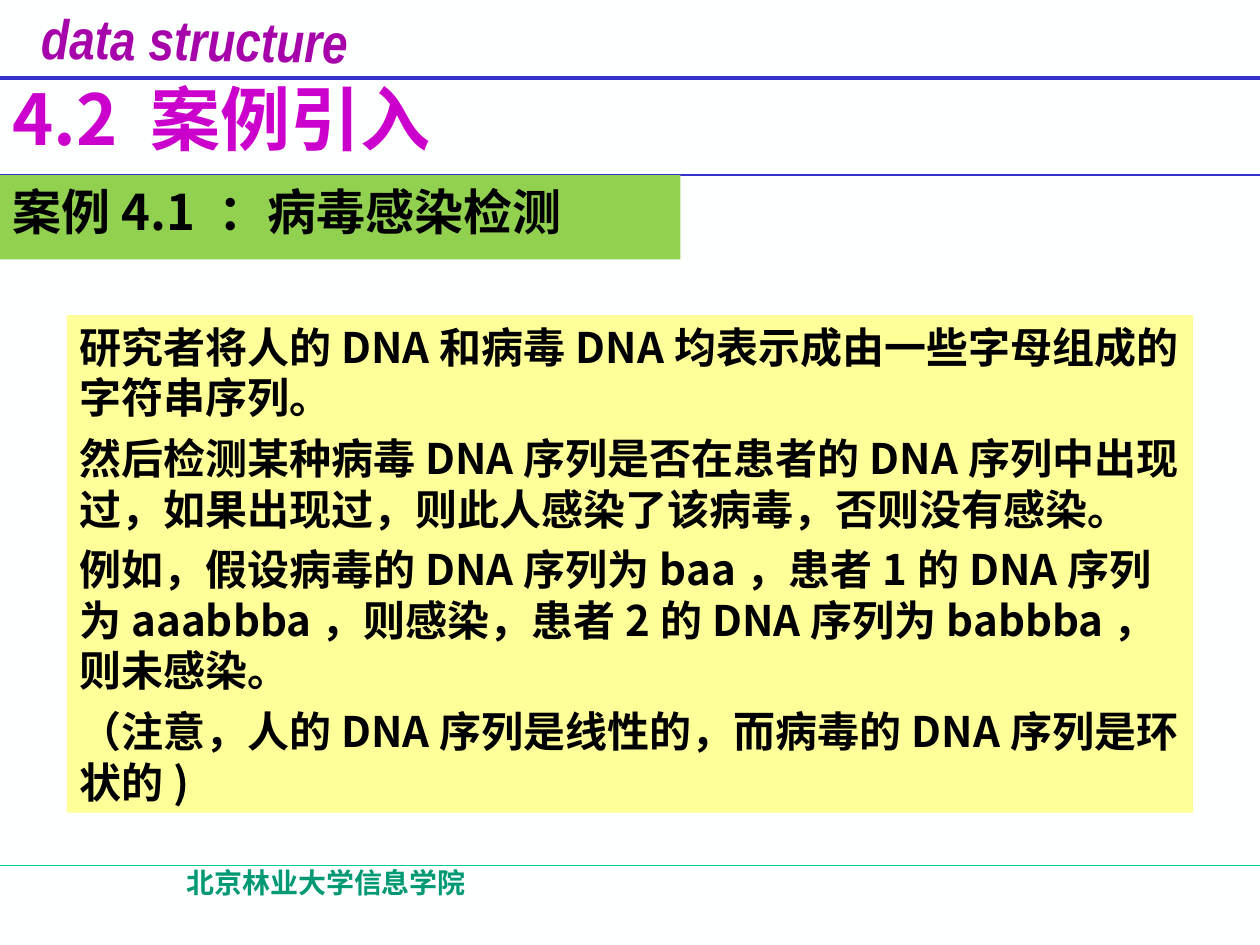
from lxml import etree
from pptx import Presentation
from pptx.dml.color import RGBColor
from pptx.enum.shapes import MSO_CONNECTOR, MSO_SHAPE
from pptx.enum.text import MSO_ANCHOR, MSO_AUTO_SIZE, PP_ALIGN
from pptx.oxml.ns import qn
from pptx.util import Inches, Pt

LEFT, CENTER = PP_ALIGN.LEFT, PP_ALIGN.CENTER
TOP, MIDDLE = MSO_ANCHOR.TOP, MSO_ANCHOR.MIDDLE
NO_FIT = MSO_AUTO_SIZE.NONE
RECTANGLE = MSO_SHAPE.RECTANGLE
STRAIGHT = MSO_CONNECTOR.STRAIGHT

CASE_TEXT = [
    "研究者将人的DNA和病毒DNA均表示成由一些字母组成的字符串序列。",
    "然后检测某种病毒DNA序列是否在患者的DNA序列中出现过，如果出现过，则此人感染了该病毒，否则没有感染。",
    "例如，假设病毒的DNA序列为baa，患者1的DNA序列为aaabbba，则感染，患者2的DNA序列为babbba，则未感染。",
    "（注意，人的DNA序列是线性的，而病毒的DNA序列是环状的)",
]


def color(value):
    return RGBColor.from_string(value)


def write_text(shape, *lines, size, fill="000000", font="Noto Sans CJK SC",
               italic=False, align=LEFT, anchor=TOP, wrap=True, before=0):
    frame = shape.text_frame
    frame.word_wrap = wrap
    frame.auto_size = NO_FIT
    frame.vertical_anchor = anchor
    for index, line in enumerate(lines):
        paragraph = frame.paragraphs[0] if index == 0 else frame.add_paragraph()
        paragraph.alignment = align
        paragraph.space_before = Pt(before if index else 0)
        properties = paragraph._p.get_or_add_pPr()
        properties.set("marL", "0")
        properties.set("indent", "0")
        etree.SubElement(properties, qn("a:buNone"))
        run = paragraph.add_run()
        run.text = line
        run.font.size = Pt(size)
        run.font.bold = True
        run.font.italic = italic
        run.font.name = font
        run.font.color.rgb = color(fill)
        east_asian = etree.SubElement(run._r.get_or_add_rPr(), qn("a:ea"))
        east_asian.set("typeface", font)


class SlideBuilder:
    def __init__(self, slide, background):
        self.slide = slide
        slide.background.fill.solid()
        slide.background.fill.fore_color.rgb = color(background)

    def rule(self, top, line_color, width):
        connector = self.slide.shapes.add_connector(
            STRAIGHT, 0, Inches(top), Inches(10), Inches(top))
        connector.line.color.rgb = color(line_color)
        connector.line.width = Pt(width)
        etree.SubElement(connector._element.spPr, qn("a:effectLst"))

    def placeholder(self, index, box, *lines, background=None, **text_format):
        shape = self.slide.placeholders[index]
        shape.left, shape.top, shape.width, shape.height = map(Inches, box)
        if background:
            shape.fill.solid()
            shape.fill.fore_color.rgb = color(background)
        write_text(shape, *lines, **text_format)

    def text_box(self, box, text, rotation=0, **text_format):
        shape = self.slide.shapes.add_textbox(*map(Inches, box))
        shape.rotation = rotation
        write_text(shape, text, **text_format)

    def banner(self, box, text, background, **text_format):
        shape = self.slide.shapes.add_shape(RECTANGLE, *map(Inches, box))
        shape.shadow.inherit = False
        shape.fill.solid()
        shape.fill.fore_color.rgb = color(background)
        shape.line.fill.background()
        write_text(shape, text, **text_format)


def main():
    presentation = Presentation()
    presentation.slide_width = Inches(10)
    presentation.slide_height = Inches(7.5)
    slide = presentation.slides.add_slide(presentation.slide_layouts[1])
    builder = SlideBuilder(slide, "FEFFFF")

    builder.rule(6.87, "00CC99", 0.75)
    builder.rule(0.62, "3333CC", 2.25)
    builder.rule(1.39, "3333CC", 1)
    builder.text_box((0.23, -0.01, 2.29, 0.54), "data structure", rotation=0.8,
                     size=32, fill="A603AB", font="Arial Narrow",
                     italic=True, wrap=False)
    builder.text_box((0.52, 6.82, 4.14, 0.5), "北京林业大学信息学院",
                     size=16, fill="009973", align=CENTER)
    builder.placeholder(0, (0, 0.56, 7.41, 0.75), "4.2 案例引入",
                        size=40, fill="CC00CC", anchor=MIDDLE)
    builder.banner((0, 1.39, 5.4, 0.67), "案例4.1 ：病毒感染检测", "92D050", size=28)
    builder.placeholder(1, (0.53, 2.5, 8.94, 3.95), *CASE_TEXT,
                        background="FFFF99", size=24, before=6)
    presentation.save("out.pptx")


if __name__ == "__main__":
    main()
